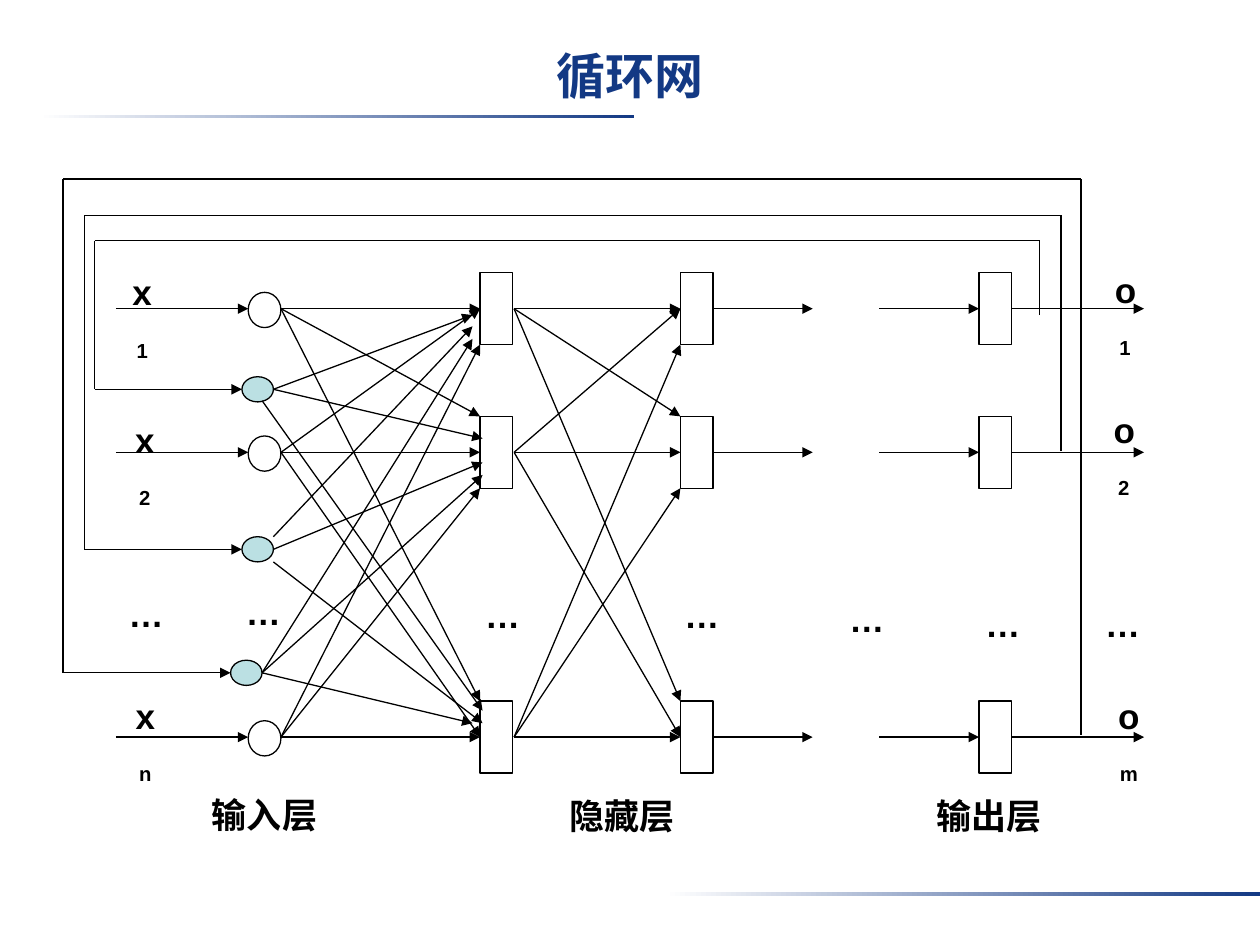
from pptx import Presentation
from pptx.dml.color import RGBColor
from pptx.enum.shapes import MSO_CONNECTOR, MSO_SHAPE
from pptx.enum.text import MSO_ANCHOR, PP_ALIGN
from pptx.oxml.ns import qn
from pptx.util import Inches, Pt
from lxml import etree

RECT, OVAL = MSO_SHAPE.RECTANGLE, MSO_SHAPE.OVAL
STRAIGHT = MSO_CONNECTOR.STRAIGHT
CENTER, TOP = PP_ALIGN.CENTER, MSO_ANCHOR.TOP
NAVY, BLACK, WHITE, TEAL = "133984", "000000", "FFFFFF", "BBE0E3"

TITLE = "循环网"
BARS = [(0.31, 0.91), (5.28, 7.08)]
ROWS = [2.45, 3.59, 5.85]
INPUT_X, HIDDEN_X, OUTPUT_X = 1.97, [3.81, 5.4], 7.77
NODE_W, NODE_H, OVAL_H = 0.26, 0.57, 0.28
# horizontal arrows repeated on every row: start, end
FLOWS = [(0.92, 1.97), (5.66, 6.45), (6.98, 7.77), (8.03, 9.08)]
# full links between neighbouring layers: start, end
LINKS = [(2.23, 3.81), (4.08, 5.4)]

# letter, subscript, left, top, width
SIGNALS = [
    ("x", "1", 0.95, 2.1, 0.43), ("x", "2", 0.97, 3.27, 0.43),
    ("x", "n", 0.97, 5.46, 0.44), ("o", "1", 8.75, 2.08, 0.43),
    ("o", "2", 8.74, 3.19, 0.43), ("o", "m", 8.75, 5.46, 0.49),
]
LAYERS = [("输入层", 1.58, 6.25), ("隐藏层", 4.42, 6.26), ("输出层", 7.33, 6.26)]
DOTS = [(0.92, 4.65), (1.85, 4.64), (3.75, 4.66), (5.33, 4.66),
        (6.64, 4.69), (7.72, 4.73), (8.67, 4.73)]

# feedback loops: tap x, tap y, top y, left x, context node x, node y,
# and the arrows from that node to the first hidden layer
LOOPS = [
    (8.25, 2.5, 1.91, 0.75, 1.92, 3.09,
     [(2.17, 3.09, 3.75, 2.5), (2.17, 3.09, 3.83, 3.48), (2.08, 3.18, 3.83, 5.64)]),
    (8.42, 3.58, 1.71, 0.67, 1.92, 4.36,
     [(2.17, 4.26, 3.75, 2.59), (2.17, 4.36, 3.83, 3.67), (2.17, 4.46, 3.83, 5.74)]),
    (8.58, 5.83, 1.42, 0.5, 1.83, 5.34,
     [(2.08, 5.34, 3.75, 2.69), (2.08, 5.34, 3.83, 3.77), (2.08, 5.34, 3.75, 5.74)]),
]


def color(code):
    return RGBColor.from_string(code)


def place(*sizes):
    return [Inches(size) for size in sizes]


def add_node(kind, x, y, w, h, fill=WHITE):
    """Add an outlined node whose middle height is y."""
    node = slide.shapes.add_shape(kind, *place(x, y - h / 2, w, h))
    node.shadow.inherit = False
    node.fill.solid()
    node.fill.fore_color.rgb = color(fill)
    node.line.color.rgb = color(BLACK)
    node.line.width = Pt(0.75)


def add_line(x1, y1, x2, y2, arrow=True):
    line = slide.shapes.add_connector(STRAIGHT, *place(x1, y1, x2, y2))
    line.line.color.rgb = color(BLACK)
    line.line.width = Pt(0.75)
    if arrow:
        etree.SubElement(line.line._get_or_add_ln(), qn("a:tailEnd"), type="triangle")
    etree.SubElement(line._element.spPr, qn("a:effectLst"))


def add_run(para, text, size, font, code):
    run = para.add_run()
    run.text = text
    run.font.size = Pt(size)
    run.font.name = font
    run.font.bold = True
    run.font.color.rgb = color(code)
    return run


def add_label(text, x, y, w, sub=""):
    frame = slide.shapes.add_textbox(*place(x, y, w, 0.44)).text_frame
    frame.word_wrap = bool(sub)
    para = frame.paragraphs[0]
    para.alignment = CENTER
    add_run(para, text, 20, "Arial", BLACK)
    if sub:
        # the narrow frame drops the subscript to a second line
        frame.margin_right = Inches(0.17)
        run = add_run(para, sub, 20, "Arial", BLACK)
        run.font._element.set("baseline", "-30000")


prs = Presentation()
prs.slide_width, prs.slide_height = place(10, 7.5)
slide = prs.slides.add_slide(prs.slide_layouts[5])

title = slide.shapes.title
title.left, title.top, title.width, title.height = place(0.5, 0.3, 9, 0.78)
frame = title.text_frame
frame.vertical_anchor = TOP
frame.margin_top = Inches(0.06)
frame.paragraphs[0].alignment = CENTER
add_run(frame.paragraphs[0], TITLE, 28, "Times New Roman", NAVY)

for x, y in BARS:
    bar = slide.shapes.add_shape(RECT, *place(x, y, 4.72, 0.03))
    bar.shadow.inherit = False
    bar.line.fill.background()
    bar.fill.gradient()
    bar.fill.gradient_angle = 0
    for stop, code in zip(bar.fill.gradient_stops, (WHITE, NAVY)):
        stop.color.rgb = color(code)

for y in ROWS:
    add_node(OVAL, INPUT_X, y + 0.01, NODE_W, OVAL_H)
    for x in HIDDEN_X + [OUTPUT_X]:
        add_node(RECT, x, y, NODE_W, NODE_H)
for y in ROWS:
    for start, end in FLOWS:
        add_line(start, y, end, y)

# links from the first row enter at a node's top, from the last at its bottom
last = len(ROWS) - 1
for start, end in LINKS:
    for i, y1 in enumerate(ROWS):
        side = {0: -1, last: 1}.get(i, 0)
        for j, y2 in enumerate(ROWS):
            shift = 0 if i == j else side * NODE_H / 2
            add_line(start, y1, end, y2 + shift)

for text, sub, x, y, w in SIGNALS:
    add_label(text, x, y, w, sub)
for text, x, y in LAYERS:
    add_label(text, x, y, 1.04)
for x, y in DOTS:
    add_label("…", x, y, 0.48)

for tap_x, tap_y, top, left, node_x, node_y, arrows in LOOPS:
    add_node(OVAL, node_x, node_y, 0.25, 0.2, TEAL)
    add_line(tap_x, tap_y, tap_x, top, arrow=False)
    add_line(tap_x, top, left, top, arrow=False)
    add_line(left, top, left, node_y, arrow=False)
    add_line(left, node_y, node_x, node_y)
    for ends in arrows:
        add_line(*ends)

prs.save("out.pptx")
